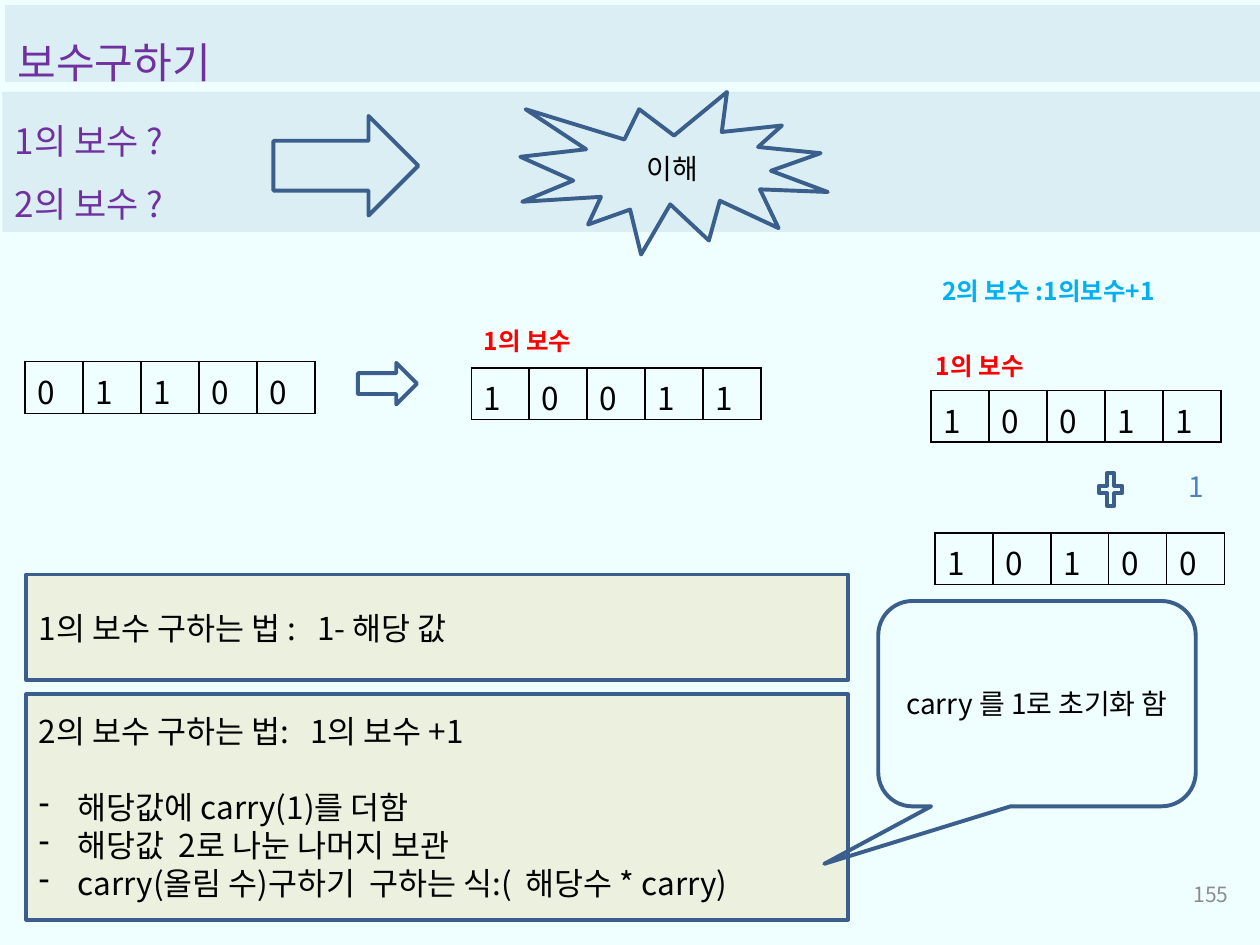
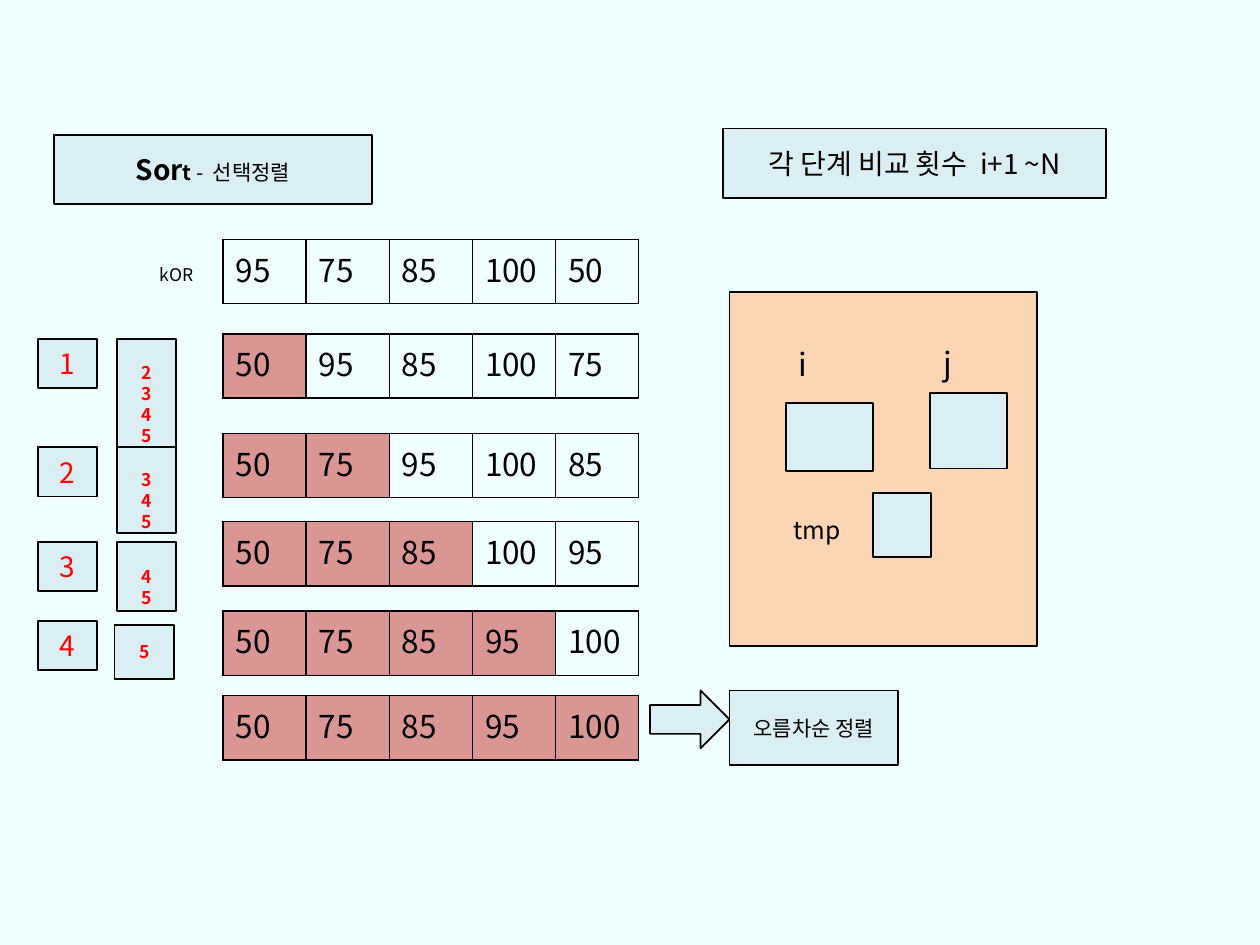
from lxml.etree import SubElement
from pptx import Presentation
from pptx.dml.color import RGBColor
from pptx.enum.shapes import MSO_SHAPE
from pptx.enum.text import MSO_ANCHOR, MSO_AUTO_SIZE, PP_ALIGN
from pptx.oxml.ns import qn
from pptx.util import Inches, Pt

FONT = "Noto Sans CJK KR"
BACKGROUND, PALE_BLUE, PALE_GREEN = "EFFEFE", "DBEEF4", "EBF1DE"
PEACH, ROSE = "FCD5B5", "D99694"
BLACK, RED, PURPLE, NAVY = "000000", "FF0000", "7030A0", "3A5F8C"
SKY, BLUE, GRAY = "00B0F0", "4F81BD", "8C8C8C"
LEFT, CENTER, RIGHT = PP_ALIGN.LEFT, PP_ALIGN.CENTER, PP_ALIGN.RIGHT
TOP, MIDDLE = MSO_ANCHOR.TOP, MSO_ANCHOR.MIDDLE
NAVY_LINE, BLACK_LINE = (NAVY, 2.25), (BLACK, 1)


def rgb(color):
    return RGBColor.from_string(color)


class Deck:
    """Holds the presentation, its style and the current slide."""

    def __init__(self):
        self.prs = Presentation()
        self.prs.slide_width, self.prs.slide_height = Inches(10), Inches(7.5)
        fill = self.prs.slide_master.background.fill
        fill.solid()
        fill.fore_color.rgb = rgb(BACKGROUND)
        self.s = None

    def new_slide(self):
        self.s = self.prs.slides.add_slide(self.prs.slide_layouts[5])

    def format_run(self, r, size, color=BLACK, bold=False):
        r.font.size, r.font.bold, r.font.name = Pt(size), bold, FONT
        r.font.color.rgb = rgb(color)
        SubElement(r.font._element, qn("a:ea")).set("typeface", FONT)

    def set_text(self, tf, lines, size, color=BLACK, bold=False, align=LEFT,
                 anchor=TOP, spacing=None):
        tf.text = "\n".join(lines) if isinstance(lines, list) else lines
        tf.word_wrap, tf.vertical_anchor = True, anchor
        for p in tf.paragraphs:
            p.alignment = align
            p.line_spacing = spacing
            for r in p.runs:
                self.format_run(r, size, color, bold)

    def paint(self, sp, fill, line):
        if fill:
            sp.fill.solid()
            sp.fill.fore_color.rgb = rgb(fill)
        else:
            sp.fill.background()
        if line:
            sp.line.color.rgb, sp.line.width = rgb(line[0]), Pt(line[1])
        else:
            sp.line.fill.background()

    def title(self, box, parts, color=BLACK, line=None, align=LEFT,
              anchor=TOP, spacing=None):
        """Fill the title placeholder with (text, size, bold) parts."""
        sp = self.s.shapes.title
        sp.left, sp.top, sp.width, sp.height = map(Inches, box)
        self.paint(sp, PALE_BLUE, line)
        tf = sp.text_frame
        tf.auto_size, tf.vertical_anchor = MSO_AUTO_SIZE.NONE, anchor
        p = tf.paragraphs[0]
        p.alignment, p.line_spacing = align, spacing
        for text, size, bold in parts:
            r = p.add_run()
            r.text = text
            self.format_run(r, size, color, bold)

    def shape(self, kind, box, fill=None, line=None, text=None, size=16,
              align=CENTER, anchor=MIDDLE, **style):
        sp = self.s.shapes.add_shape(kind, *map(Inches, box))
        sp.shadow.inherit = False
        self.paint(sp, fill, line)
        if text:
            self.set_text(sp.text_frame, text, size, align=align,
                          anchor=anchor, **style)
        return sp

    def box(self, box, text=None, size=16, fill=PALE_BLUE, line=BLACK_LINE,
            **style):
        return self.shape(MSO_SHAPE.RECTANGLE, box, fill, line, text, size,
                          **style)

    def label(self, box, text, size, color=BLACK, **style):
        sp = self.s.shapes.add_textbox(*map(Inches, box))
        self.set_text(sp.text_frame, text, size, color, **style)

    def array(self, left, top, values, cell_width, height, filled=0):
        """Draw a one-row table whose first `filled` cells are coloured."""
        table = self.s.shapes.add_table(
            1, len(values), Inches(left), Inches(top),
            Inches(cell_width * len(values)), Inches(height)).table
        table.first_row = table.horz_banding = False
        for i, value in enumerate(values):
            cell = table.cell(0, i)
            self.set_text(cell.text_frame, str(value), 18)
            self.border(cell)
            if i < filled:
                cell.fill.solid()
                cell.fill.fore_color.rgb = rgb(ROSE)
            else:
                cell.fill.background()

    def border(self, cell):
        tc_pr = cell._tc.get_or_add_tcPr()
        for side in ("lnL", "lnR", "lnT", "lnB"):
            ln = SubElement(tc_pr, qn(f"a:{side}"), w=str(Pt(1)))
            fill = SubElement(ln, qn("a:solidFill"))
            SubElement(fill, qn("a:srgbClr"), val=BLACK)

    def dash(self, p):
        """Turn a paragraph into a dashed list item."""
        p_pr = p._p.get_or_add_pPr()
        p_pr.set("marL", str(Inches(0.31)))
        p_pr.set("indent", str(-Inches(0.31)))
        SubElement(p_pr, qn("a:buChar"), char="-")


def complement_slide(deck):
    deck.new_slide()
    deck.title((0.04, 0.04, 9.98, 0.61), [("보수구하기", 24, False)], PURPLE,
               spacing=1.5)
    deck.box((0.02, 0.73, 10, 1.11), ["1의 보수 ?", "2의 보수 ?"], 20, line=None,
             color=PURPLE, align=LEFT, anchor=TOP, spacing=1.5)
    deck.label((7.52, 6.9, 2.33, 0.4), "155", 12, GRAY, align=RIGHT,
               anchor=MIDDLE)

    for arrow in ((2.84, 2.88, 0.47, 0.33), (2.17, 0.92, 1.15, 0.79)):
        deck.shape(MSO_SHAPE.RIGHT_ARROW, arrow, line=NAVY_LINE)
    deck.shape(MSO_SHAPE.EXPLOSION1, (4.13, 0.73, 2.44, 1.29), line=NAVY_LINE,
               text="이해")

    for left, top, bits in ((0.2, 2.87, "01100"), (3.74, 2.92, "10011"),
                            (7.39, 3.1, "10011"), (7.42, 4.23, "10100")):
        deck.array(left, top, bits, 0.46, 0.41)
    for left, top in ((3.74, 2.54), (7.33, 2.74)):
        deck.label((left, top, 1.41, 0.34), "1의 보수", 14, RED, bold=True)
    deck.label((7.38, 2.14, 2.27, 0.34), "2의 보수 :1의보수+1", 14, SKY,
               bold=True)
    deck.shape(MSO_SHAPE.MATH_PLUS, (8.69, 3.71, 0.25, 0.35), line=NAVY_LINE)
    deck.label((9.33, 3.68, 0.33, 0.37), "1", 16, BLUE, align=CENTER)

    deck.box((0.21, 4.56, 6.52, 0.84), "1의 보수 구하는 법 :   1- 해당 값", 18,
             PALE_GREEN, NAVY_LINE, align=LEFT)
    method = deck.box((0.21, 5.51, 6.52, 1.79), [
        "2의 보수 구하는 법:   1의 보수 +1",
        "해당값에 carry(1)를 더함",
        "해당값  2로 나눈 나머지 보관",
        "carry(올림 수)구하기  구하는 식:(  해당수 * carry)",
    ], 18, PALE_GREEN, NAVY_LINE, align=LEFT)
    steps = method.text_frame.paragraphs[1:]
    for p in steps:
        deck.dash(p)
    steps[0].space_before = Pt(22)

    callout = deck.shape(MSO_SHAPE.ROUNDED_RECTANGULAR_CALLOUT,
                         (6.97, 4.77, 2.52, 1.63), line=NAVY_LINE,
                         text="carry 를 1로 초기화 함")
    callout.adjustments[0] = -0.67
    callout.adjustments[1] = 0.78


def sort_slide(deck):
    deck.new_slide()
    deck.title((0.43, 1.07, 2.52, 0.55),
               [("Sor", 16, True), ("t", 12, True), (" -  선택정렬", 12, False)],
               line=BLACK_LINE, align=CENTER, anchor=MIDDLE)
    deck.box((5.74, 1.02, 3.04, 0.55), "각 단계 비교 횟수  i+1 ~N")

    deck.label((1.17, 2.05, 0.55, 0.27), "kOR", 10)
    passes = [
        (1.9, (95, 75, 85, 100, 50)),
        (2.65, (50, 95, 85, 100, 75)),
        (3.44, (50, 75, 95, 100, 85)),
        (4.14, (50, 75, 85, 100, 95)),
        (4.85, (50, 75, 85, 95, 100)),
        (5.52, (50, 75, 85, 95, 100)),
    ]
    for sorted_count, (top, scores) in enumerate(passes):
        deck.array(1.77, top, scores, 0.66, 0.51, sorted_count)

    compared = [
        (2.69, (0.93, 2.69, 0.47, 0.86)),
        (3.55, (0.93, 3.55, 0.47, 0.68)),
        (4.3, (0.93, 4.3, 0.47, 0.55)),
        (4.93, (0.91, 4.96, 0.47, 0.43)),
    ]
    for i, (top, targets) in enumerate(compared, 1):
        sp = deck.box(targets, [str(j) for j in range(i + 1, 6)], 10,
                      color=RED, bold=True)
        if i < len(compared):
            sp.text_frame.margin_top = Inches(0.17)
            sp.text_frame.margin_bottom = 0
        deck.box((0.3, top, 0.47, 0.39), str(i), color=RED)

    deck.shape(MSO_SHAPE.RIGHT_ARROW, (5.16, 5.48, 0.63, 0.46), PALE_BLUE,
               BLACK_LINE)
    deck.box((5.79, 5.48, 1.34, 0.59), "오름차순 정렬", 12)

    deck.box((5.79, 2.32, 2.44, 2.81), fill=PEACH)
    variables = [
        ("i", 18, (6.24, 2.69, 0.45, 0.4), (6.24, 3.2, 0.69, 0.54)),
        ("j", 18, (7.39, 2.68, 0.45, 0.4), (7.38, 3.12, 0.61, 0.6)),
        ("tmp", 14, (6.2, 4.04, 0.73, 0.34), (6.93, 3.91, 0.46, 0.51)),
    ]
    for name, size, name_box, value_box in variables:
        deck.box(value_box)
        deck.label(name_box, name, size)


def main():
    deck = Deck()
    complement_slide(deck)
    sort_slide(deck)
    deck.prs.save("out.pptx")


if __name__ == "__main__":
    main()
